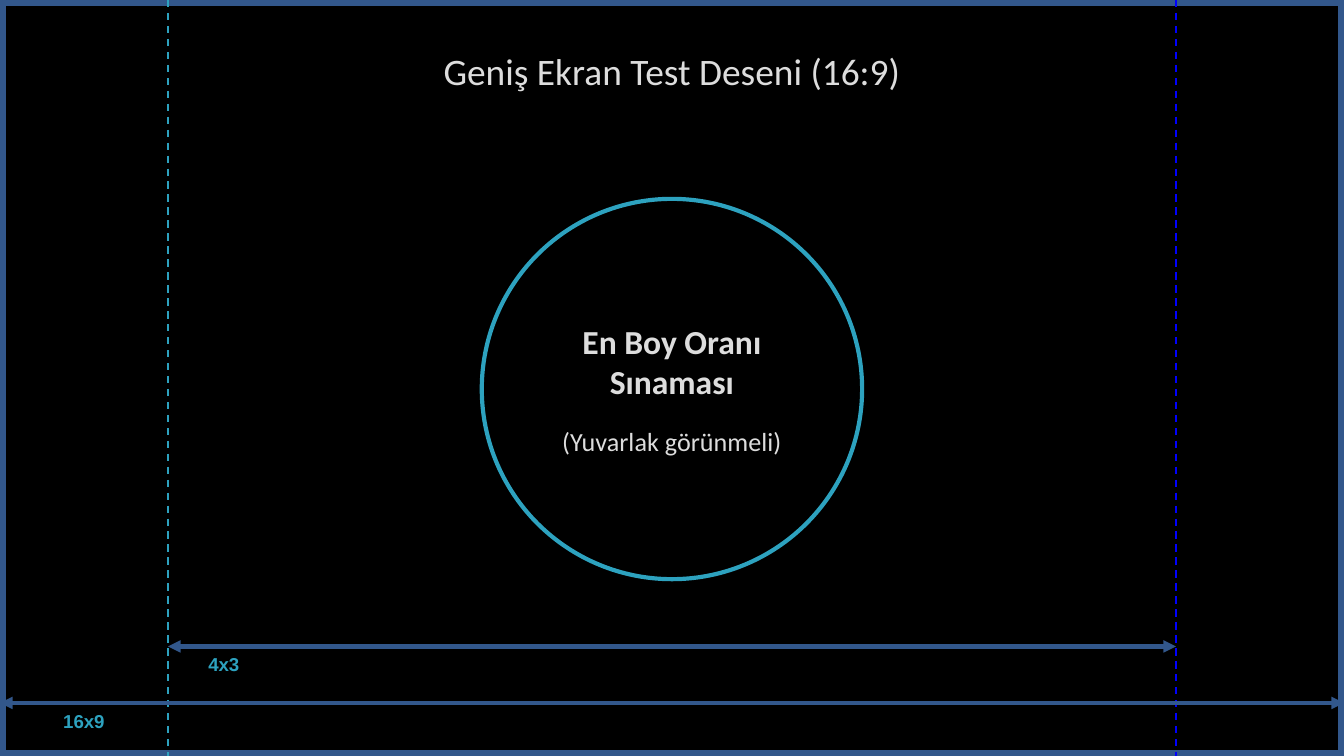
import pptx
import pptx.dml.color
import pptx.enum.dml
import pptx.enum.shapes
import pptx.enum.text
import pptx.oxml.ns
import pptx.util
from lxml import etree
from pptx.util import Inches

COLORS = {
    "background": "000000",
    "frame": "32578B",
    "accent": "2DA2BF",
    "right_guide": "0000FF",
    "text": "DDDDDD",
}
WIDTH = 10
HEIGHT = WIDTH * 9 / 16
NARROW_WIDTH = HEIGHT * 4 / 3
NARROW_LEFT = (WIDTH - NARROW_WIDTH) / 2
NARROW_RIGHT = NARROW_LEFT + NARROW_WIDTH
DIAMETER = 2.83


def rgb(name):
    return pptx.dml.color.RGBColor.from_string(COLORS[name])


def format_paragraph(paragraph, size, font="Calibri", color="text", bold=False, align="CENTER"):
    paragraph.alignment = getattr(pptx.enum.text.PP_ALIGN, align)
    for run in paragraph.runs:
        run.font.name = font
        run.font.size = pptx.util.Pt(size)
        run.font.bold = bold
        run.font.color.rgb = rgb(color)


def add_outline(slide, kind, box, color, weight):
    shape = slide.shapes.add_shape(kind, *map(Inches, box))
    shape.shadow.inherit = False
    shape.fill.background()
    shape.line.color.rgb = rgb(color)
    shape.line.width = pptx.util.Pt(weight)
    return shape


def add_line(slide, start, end, color, weight):
    line = slide.shapes.add_connector(
        pptx.enum.shapes.MSO_CONNECTOR.STRAIGHT, *map(Inches, start + end))
    line.line.color.rgb = rgb(color)
    line.line.width = pptx.util.Pt(weight)
    etree.SubElement(line._element.spPr, pptx.oxml.ns.qn("a:effectLst"))
    return line


def add_title(slide, box):
    title = slide.shapes.title
    title.left, title.top, title.width, title.height = map(Inches, box)
    frame = title.text_frame
    frame.text = "Geniş Ekran Test Deseni (16:9)"
    frame.vertical_anchor = pptx.enum.text.MSO_ANCHOR.TOP
    format_paragraph(frame.paragraphs[0], 20)


def add_guide(slide, x, color):
    guide = add_line(slide, (x, 0), (x, HEIGHT), color, 1)
    guide.line.dash_style = pptx.enum.dml.MSO_LINE.DASH


def add_ratio_circle(slide, box):
    circle = add_outline(slide, pptx.enum.shapes.MSO_SHAPE.OVAL, box, "accent", 2.25)
    frame = circle.text_frame
    frame.word_wrap = True
    frame.vertical_anchor = pptx.enum.text.MSO_ANCHOR.MIDDLE
    frame.text = "En Boy Oranı Sınaması\n(Yuvarlak görünmeli)"
    heading, note = frame.paragraphs
    format_paragraph(heading, 18, bold=True)
    format_paragraph(note, 14)
    note.space_before = pptx.util.Pt(12.8)


def add_dimension(slide, left, right, y, label, label_left):
    """Double-headed arrow with its label just below."""
    arrow = add_line(slide, (left, y), (right, y), "frame", 2.25)
    outline = arrow.line._get_or_add_ln()
    for tag in ("a:headEnd", "a:tailEnd"):
        etree.SubElement(outline, pptx.oxml.ns.qn(tag), type="triangle")

    text_box = slide.shapes.add_textbox(*map(Inches, (label_left, y, 0.58, 0.27)))
    frame = text_box.text_frame
    frame.word_wrap = True
    frame.auto_size = pptx.enum.text.MSO_AUTO_SIZE.SHAPE_TO_FIT_TEXT
    for side in ("left", "top", "right", "bottom"):
        setattr(frame, f"margin_{side}", Inches(0.05))
    frame.text = label
    format_paragraph(frame.paragraphs[0], 10, "Arial", "accent", True, "LEFT")


def build_test_pattern(presentation):
    slide = presentation.slides.add_slide(presentation.slide_layouts[5])
    slide.background.fill.solid()
    slide.background.fill.fore_color.rgb = rgb("background")

    # Frame and title
    add_outline(slide, pptx.enum.shapes.MSO_SHAPE.RECTANGLE, (0, 0, WIDTH, HEIGHT), "frame", 6)
    add_title(slide, (0.75, 0.31, 8.5, 0.92))

    # Edges of the 4x3 area
    add_guide(slide, NARROW_LEFT, "accent")
    add_guide(slide, NARROW_RIGHT, "right_guide")

    # Aspect ratio check and widths
    add_dimension(slide, 0, WIDTH, 5.23, "16x9", 0.42)
    add_ratio_circle(slide, ((WIDTH - DIAMETER) / 2, 1.48, DIAMETER, DIAMETER))
    add_dimension(slide, NARROW_LEFT, NARROW_RIGHT, 4.81, "4x3", 1.5)


def main():
    presentation = pptx.Presentation()
    presentation.slide_width = Inches(WIDTH)
    presentation.slide_height = Inches(HEIGHT)
    build_test_pattern(presentation)
    presentation.save("out.pptx")


if __name__ == "__main__":
    main()
